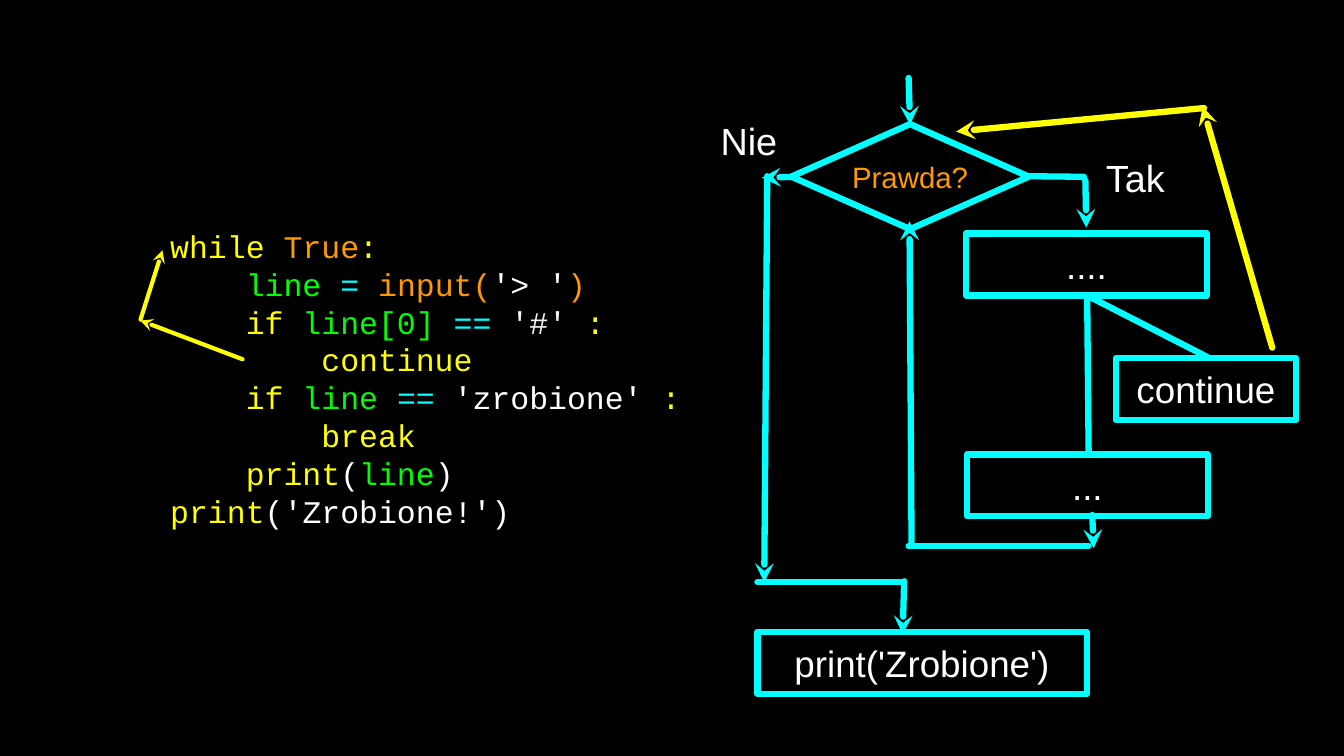
"""Build a slide that sets a while loop with continue beside its flowchart."""
from dataclasses import dataclass

from lxml import etree
from pptx import Presentation
from pptx.dml.color import RGBColor
from pptx.enum import shapes, text
from pptx.oxml import ns
from pptx.util import Cm, Pt


@dataclass(frozen=True)
class Theme:
    black: str = "000000"
    white: str = "FFFFFF"
    pale: str = "F3F3F3"
    cyan: str = "00FFFF"
    yellow: str = "FFFF00"
    green: str = "00FF00"
    orange: str = "FF9900"
    sans: str = "Arial"
    mono: str = "Courier New"
    condition_size: int = 28
    code_size: int = 30
    box_size: int = 35
    label_size: int = 36
    thick: int = 6
    thin: int = 4


theme = Theme()


def prepare_frame(shape):
    frame = shape.text_frame
    frame.word_wrap = True
    frame.vertical_anchor = text.MSO_ANCHOR.MIDDLE
    frame.margin_left = frame.margin_right = frame.margin_top = frame.margin_bottom = 0
    return frame


def add_run(paragraph, words, color, size, font):
    run = paragraph.add_run()
    run.text = words
    run.font.size = Pt(size)
    run.font.name = font
    run.font.color.rgb = RGBColor.from_string(color)


presentation = Presentation()
presentation.slide_width = Cm(45.16)
presentation.slide_height = Cm(25.4)
slide = presentation.slides.add_slide(presentation.slide_layouts[6])
slide.background.fill.solid()
slide.background.fill.fore_color.rgb = RGBColor.from_string(theme.black)

code_lines = [
    (0, [("while ", theme.yellow), ("True", theme.orange), (":", theme.yellow)]),
    (1, [("line ", theme.green), ("= ", theme.cyan), ("input(", theme.orange),
         ("'> '", theme.white), (")", theme.orange)]),
    (1, [("if", theme.yellow), (" line[0] ", theme.green), ("== ", theme.cyan),
         ("'#' ", theme.pale), (":", theme.yellow)]),
    (2, [("continue", theme.yellow)]),
    (1, [("if ", theme.yellow), ("line ", theme.green), ("== ", theme.cyan),
         ("'zrobione' ", theme.white), (":", theme.yellow)]),
    (2, [("break", theme.yellow)]),
    (1, [("print", theme.yellow), ("(", theme.white), ("line", theme.green),
         (")", theme.white)]),
    (0, [("print", theme.yellow), ("('Zrobione!')", theme.white)]),
]
code_box = slide.shapes.add_textbox(Cm(5.72), Cm(6.55), Cm(17.48), Cm(12.32))
frame = prepare_frame(code_box)
for index, (level, pieces) in enumerate(code_lines):
    paragraph = frame.add_paragraph() if index else frame.paragraphs[0]
    properties = paragraph._p.get_or_add_pPr()
    properties.set("marL", str(Cm(2.54 * level)))
    properties.set("indent", "0")
    for words, color in pieces:
        add_run(paragraph, words, color, theme.code_size, theme.mono)

for words, left, top, width in [("Nie", 24.16, 3.84, 2.01), ("Tak", 36.93, 5.08, 2.44)]:
    label = slide.shapes.add_textbox(Cm(left), Cm(top), Cm(width), Cm(1.73))
    paragraph = prepare_frame(label).paragraphs[0]
    paragraph.alignment = text.PP_ALIGN.CENTER
    add_run(paragraph, words, theme.white, theme.label_size, theme.sans)

diamond = shapes.MSO_SHAPE.DIAMOND
rectangle = shapes.MSO_SHAPE.RECTANGLE
steps = [
    (diamond, "Prawda?", 26.59, 4.17, 7.98, 3.53, theme.orange, theme.condition_size),
    (rectangle, "....", 32.46, 7.85, 8.1, 2.08, theme.white, theme.box_size),
    (rectangle, "continue", 37.49, 12.04, 6.07, 2.08, theme.white, theme.box_size),
    (rectangle, "...", 32.49, 15.27, 8.1, 2.08, theme.white, theme.box_size),
    (rectangle, "print('Zrobione')", 25.45, 21.23, 11.07, 2.08, theme.white, theme.box_size),
]
for kind, words, left, top, width, height, color, size in steps:
    step = slide.shapes.add_shape(kind, Cm(left), Cm(top), Cm(width), Cm(height))
    step.shadow.inherit = False
    step.fill.background()
    step.line.color.rgb = RGBColor.from_string(theme.cyan)
    step.line.width = Pt(theme.thick)
    paragraph = prepare_frame(step).paragraphs[0]
    paragraph.alignment = text.PP_ALIGN.CENTER
    add_run(paragraph, words, color, size, theme.sans)

flow = (theme.cyan, theme.thick)
jump = (theme.yellow, theme.thick)
code_jump = (theme.yellow, theme.thin)
links = [
    (flow, True, 30.53, 2.62, 30.58, 4.19),
    (flow, False, 34.54, 5.92, 36.42, 5.94),
    (flow, True, 36.47, 6.07, 36.5, 7.65),
    (flow, False, 36.53, 9.93, 36.58, 15.27),
    (flow, False, 36.53, 9.93, 40.56, 11.99),
    (flow, True, 36.7, 17.3, 36.75, 18.42),
    (flow, False, 36.58, 18.34, 30.53, 18.34),
    (flow, True, 30.63, 18.34, 30.56, 7.44),
    (flow, True, 26.72, 5.94, 25.6, 5.97),
    (flow, True, 25.78, 5.92, 25.68, 19.56),
    (flow, False, 25.45, 19.56, 30.33, 19.56),
    (flow, True, 30.38, 19.53, 30.33, 21.31),
    (jump, True, 42.75, 11.68, 40.41, 3.58),
    (jump, True, 40.46, 3.63, 32.13, 4.42),
    (code_jump, True, 8.15, 12.07, 4.72, 10.77),
    (code_jump, True, 4.72, 10.74, 5.46, 8.41),
]
for (color, weight), has_arrow, *ends in links:
    link = slide.shapes.add_connector(shapes.MSO_CONNECTOR.STRAIGHT, *map(Cm, ends))
    link.line.color.rgb = RGBColor.from_string(color)
    link.line.width = Pt(weight)
    outline = link.line._get_or_add_ln()
    outline.set("cap", "rnd")
    etree.SubElement(outline, ns.qn("a:round"))
    if has_arrow:
        etree.SubElement(outline, ns.qn("a:tailEnd"), type="stealth")
    etree.SubElement(link._element.spPr, ns.qn("a:effectLst"))

presentation.save("out.pptx")
